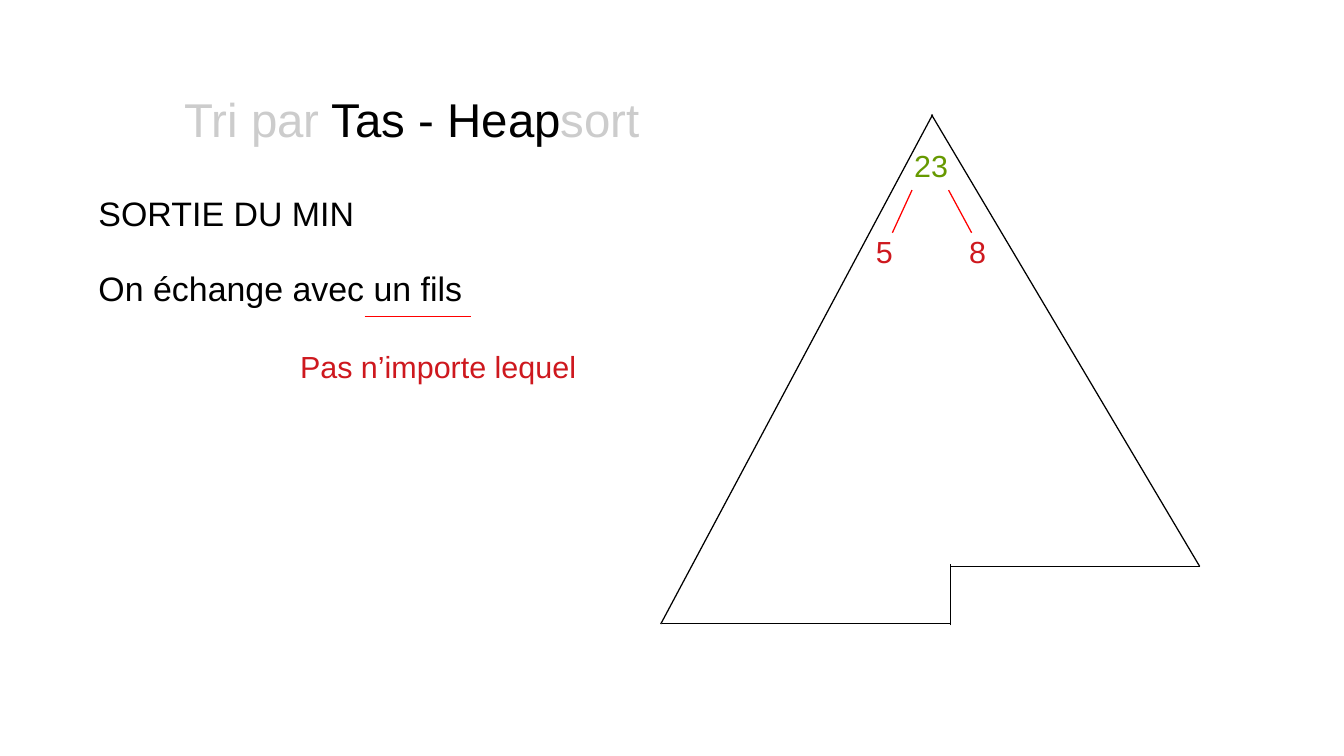
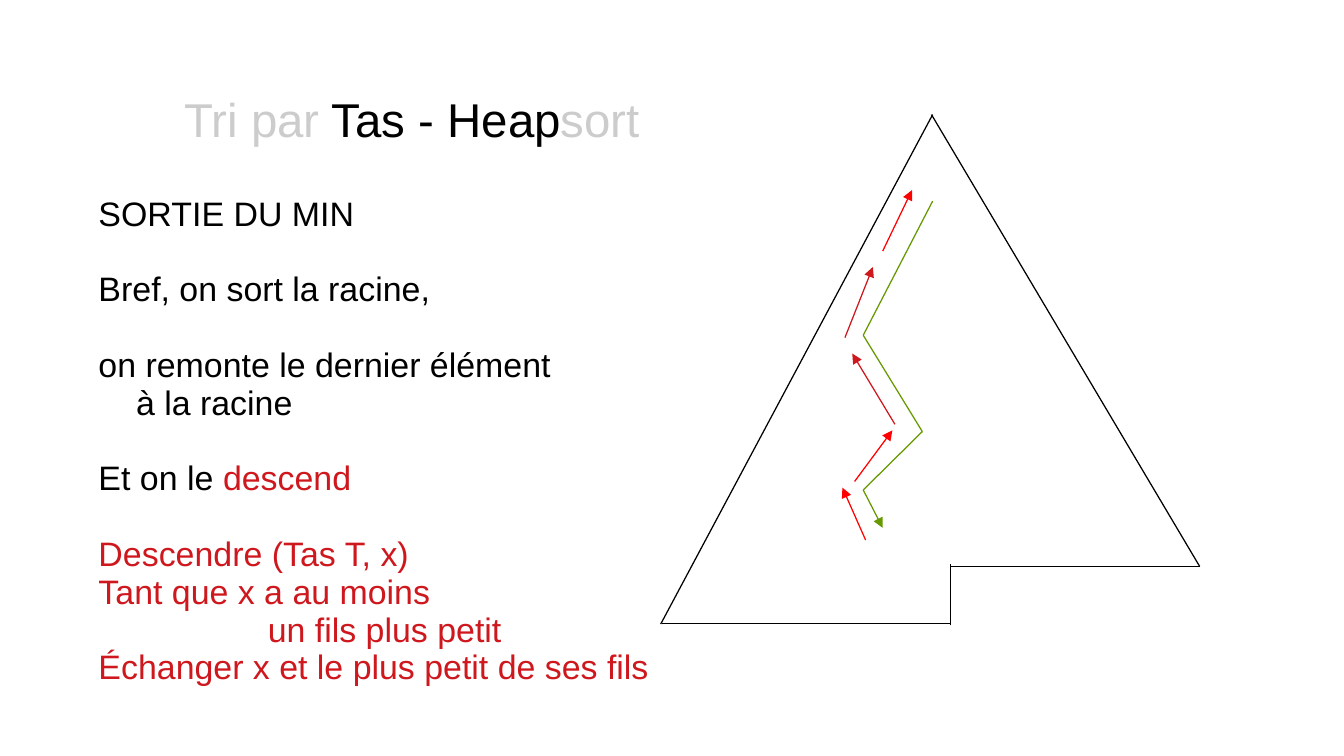
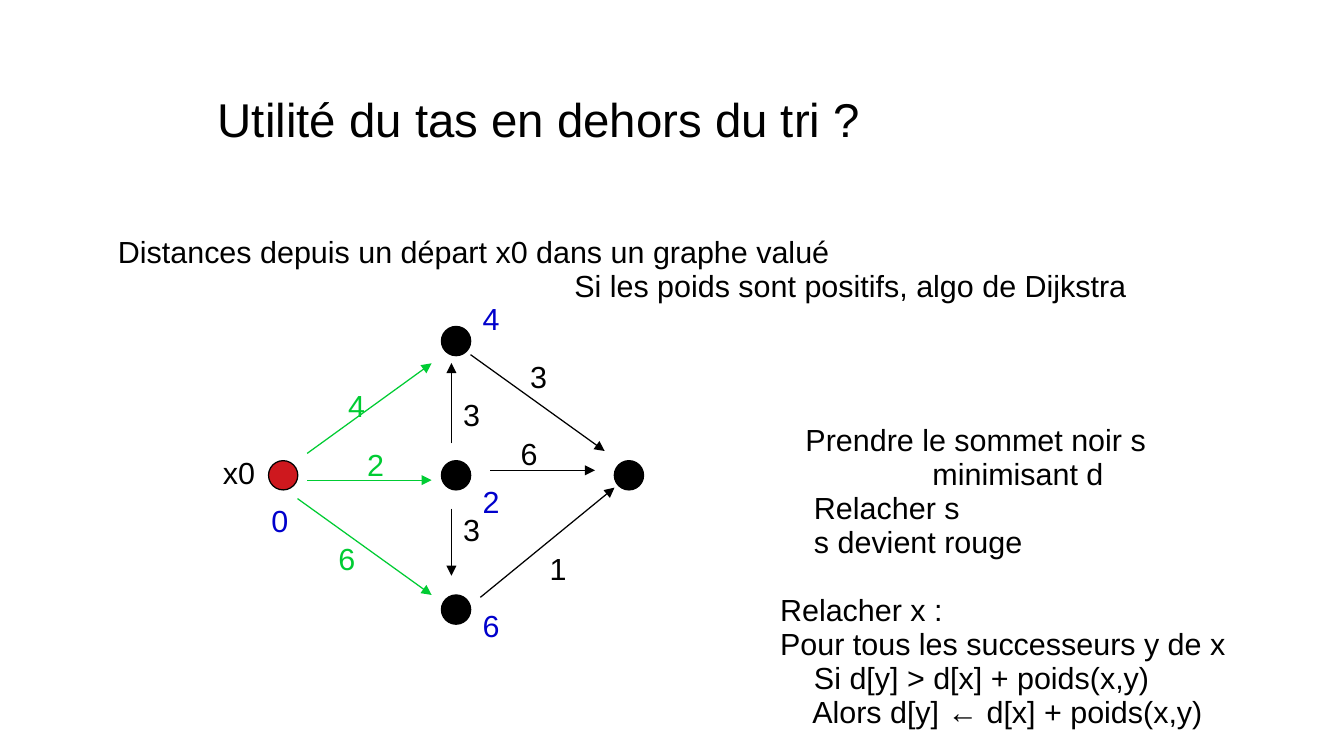
"""Build three slides about heaps: removing the minimum, sifting down, Dijkstra."""
from itertools import pairwise

from lxml.etree import SubElement
from pptx import Presentation
from pptx.dml.color import RGBColor
from pptx.enum.shapes import MSO_CONNECTOR as Connector, MSO_SHAPE as Shape
from pptx.oxml.ns import qn
from pptx.util import Pt

COLOURS = {
    "black": "000000",
    "grey": "CCCCCC",
    "crimson": "CE181E",
    "red": "FF0000",
    "olive": "669900",
    "green": "00CC33",
    "blue": "0000CC",
}
FONT = "Arial"
LINE_SPACING = 0.93
LINE_WIDTH = Pt(0.75)
BODY_GAP = 22.3
HEAP_TITLE = [("Tri par", "grey"), (" Tas - Heap", "black"), ("sort", "grey")]
HEAP_EDGES = [
    ((550.8, 67.7), (390.2, 368.6)),
    ((550.1, 67.7), (708.5, 334.6)),
    ((391, 368.5), (561.4, 368.5)),
    ((561.4, 334.6), (708.5, 334.6)),
    ((561.4, 369.4), (561.4, 333.4)),
]


def write(page, at, lines, size=18, inset=3.6):
    """Add a text box of lines given as (indent, gap before, [(text, colour), ...])."""
    frame = page.shapes.add_textbox(*map(Pt, at)).text_frame
    frame.word_wrap = True
    frame.margin_top = Pt(inset)
    for index, (indent, gap, spans) in enumerate(lines):
        para = frame.paragraphs[0] if index == 0 else frame.add_paragraph()
        para.line_spacing = LINE_SPACING
        para.space_before = Pt(gap)
        if indent:
            para._p.get_or_add_pPr().set("marL", str(Pt(indent)))
        para.font.name = FONT
        para.font.size = Pt(size)
        for text, colour in spans:
            span = para.add_run()
            span.text = text
            font = para.font if len(spans) == 1 else span.font
            font.color.rgb = RGBColor.from_string(COLOURS[colour])


def draw_line(page, start, end, colour, arrow=False):
    """Add a straight line, with an arrowhead at its end if asked."""
    line = page.shapes.add_connector(Connector.STRAIGHT, *map(Pt, start + end))
    line.line.color.rgb = RGBColor.from_string(COLOURS[colour])
    line.line.width = LINE_WIDTH
    properties = line._element.spPr
    if arrow:
        SubElement(properties.find(qn("a:ln")), qn("a:tailEnd"), type="triangle")
    SubElement(properties, qn("a:effectLst"))


deck = Presentation()
deck.slide_width, deck.slide_height = Pt(793.7), Pt(446.5)
swap_page, sift_page, graph_page = (deck.slides.add_slide(deck.slide_layouts[6]) for _ in range(3))

for page, left, title in [
    (swap_page, 102, HEAP_TITLE),
    (sift_page, 102, HEAP_TITLE),
    (graph_page, 121.5, [("Utilité du tas en dehors du tri ?", "black")]),
]:
    write(page, (left, 50.6, 598, 38.2), [(0, 0, title)], size=28, inset=5.8)

for page in (swap_page, sift_page):
    for start, end in HEAP_EDGES:
        draw_line(page, start, end, "black")

write(swap_page, (51.1, 112.3, 362.9, 118.8), [
    (0, 0, [("SORTIE DU MIN", "black")]),
    (0, BODY_GAP, [("On échange avec un fils", "black")]),
], size=20)
for left, top, width, text, colour in [
    (532.8, 85, 39.6, "23", "olive"),
    (510.2, 136.1, 33.8, "5", "crimson"),
    (565.2, 136.1, 33.8, "8", "crimson"),
    (170.1, 204, 181.4, "Pas n’importe lequel", "crimson"),
]:
    write(swap_page, (left, top, width, 27.4), [(0, 0, [(text, colour)])])
for start, end in [
    ((527, 137.5), (538.6, 112.3)),
    ((573.8, 137.5), (560.2, 112.3)),
    ((215.3, 187), (277.9, 187)),
]:
    draw_line(swap_page, start, end, "red")

write(sift_page, (51.1, 112.3, 362.9, 319.7), [
    (0, 0, [("SORTIE DU MIN", "black")]),
    (0, BODY_GAP, [("Bref, on sort la racine,", "black")]),
    (0, BODY_GAP, [("on remonte le dernier élément", "black")]),
    (22.2, 0, [("à la racine", "black")]),
    (0, BODY_GAP, [("Et on le ", "black"), ("descend", "crimson")]),
    (0, BODY_GAP, [("Descendre (Tas T, x)", "crimson")]),
    (0, 0, [("Tant que x a au moins", "crimson")]),
    (100, 0, [("un fils plus petit", "crimson")]),
    (0, 0, [("Échanger x et le plus petit de ses fils", "crimson")]),
], size=20)
for start, end, colour in [
    ((521.3, 148.3), (538.6, 112.3), "red"),
    ((499, 199.4), (515.5, 157.7), "crimson"),
    ((528.5, 250.6), (503.3, 208.8), "crimson"),
    ((504.7, 284.4), (527, 254.2), "red"),
    ((511.2, 319), (497.5, 288), "red"),
]:
    draw_line(sift_page, start, end, colour, arrow=True)
descent = [(550.8, 118.8), (509.8, 198), (544.7, 254.9), (509.8, 289.4), (521.3, 311.8)]
for start, end in pairwise(descent):
    draw_line(sift_page, start, end, "olive", arrow=end == descent[-1])

write(graph_page, (62.6, 136.1, 686.2, 47.5), [
    (0, 0, [("Distances depuis un départ x0 dans un graphe valué", "black")]),
    (269.5, 0, [("Si les poids sont positifs, algo de Dijkstra", "black")]),
])
for column, row, colour in [
    (0, 1, "crimson"), (1, 0, "black"), (1, 1, "black"), (1, 2, "black"), (2, 1, "black"),
]:
    left, top = 158.6 + 102.1 * column, 192.8 + 79.3 * row
    node = graph_page.shapes.add_shape(Shape.OVAL, Pt(left), Pt(top), Pt(17.3), Pt(17.3))
    node.shadow.inherit = False
    node.fill.solid()
    node.fill.fore_color.rgb = RGBColor.from_string(COLOURS[colour])
    node.line.color.rgb = RGBColor.from_string(COLOURS["black"])
    node.line.width = LINE_WIDTH
for start, end, colour in [
    ((181.4, 267.8), (254.9, 214.6), "green"),
    ((181.4, 283.6), (254.9, 283.6), "green"),
    ((175.7, 294.5), (254.9, 351.4), "green"),
    ((283.7, 352.8), (362.9, 288), "black"),
    ((277.9, 209.5), (357.1, 266.4), "black"),
    ((289.4, 277.8), (351.4, 277.8), "black"),
    ((266.6, 300.4), (266.6, 340), "black"),
    ((266.6, 261.9), (266.6, 214.4), "black"),
]:
    draw_line(graph_page, start, end, colour, arrow=True)
for left, top, text, colour in [
    (124.6, 266.4, "x0", "black"),
    (209.7, 262.1, "2", "green"),
    (198.5, 226.8, "4", "green"),
    (192.7, 317.5, "6", "green"),
    (266.4, 232.3, "3", "black"),
    (266.4, 300.2, "3", "black"),
    (300.4, 255.2, "6", "black"),
    (306, 209.8, "3", "black"),
    (317.5, 323.3, "1", "black"),
    (153.2, 294.8, "0", "blue"),
    (277.9, 283.6, "2", "blue"),
    (277.9, 357.1, "6", "blue"),
    (277.9, 175.7, "4", "blue"),
]:
    write(graph_page, (left, top, 36, 27.4), [(0, 0, [(text, colour)])])
write(graph_page, (453.6, 247.2, 317.5, 195), [
    (indent, gap, [(text, "black")])
    for indent, gap, text in [
        (15, 0, "Prendre le sommet noir s"),
        (90, 0, "minimisant d"),
        (20, 0, "Relacher s"),
        (20, 0, "s devient rouge"),
        (0, 20, "Relacher x :"),
        (0, 0, "Pour tous les successeurs y de x"),
        (20, 0, "Si d[y] > d[x] + poids(x,y)"),
        (19, 0, "Alors d[y] ← d[x] + poids(x,y)"),
    ]
])

deck.save("out.pptx")
